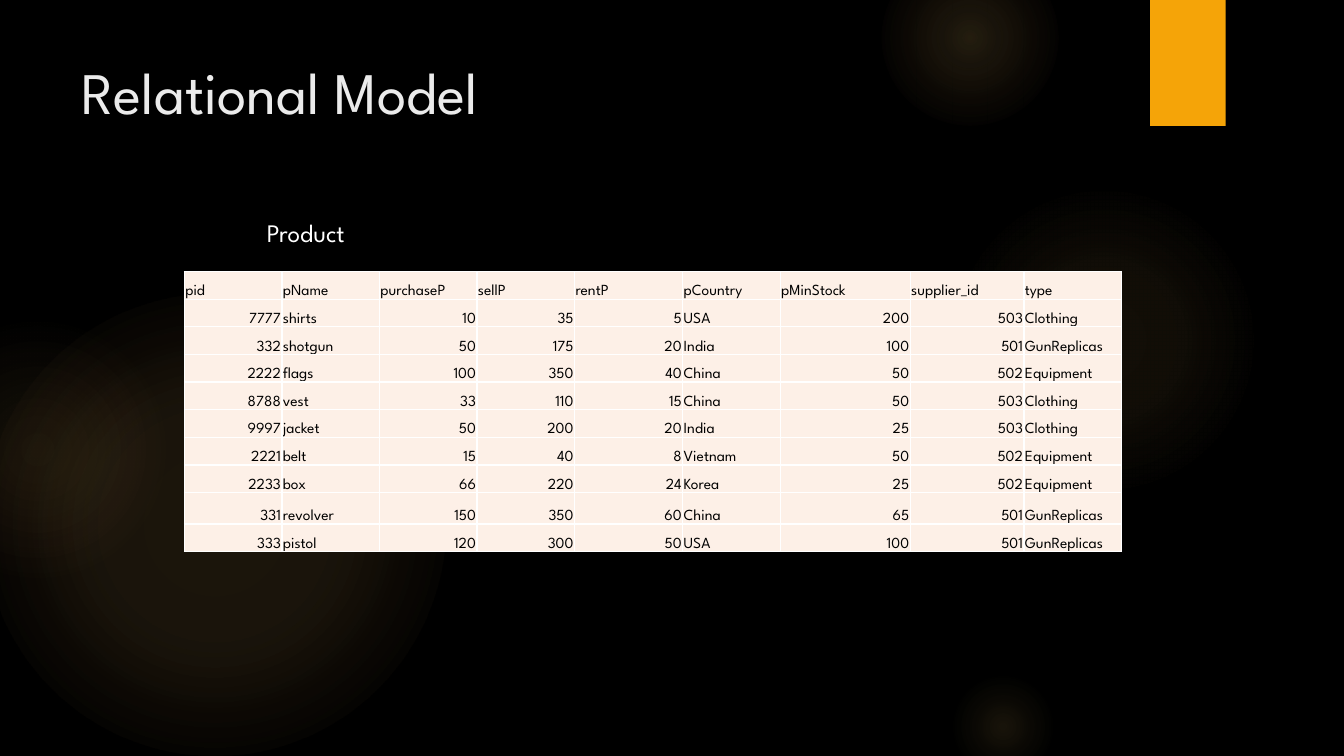
from lxml.etree import SubElement
from pptx import Presentation
from pptx.dml.color import RGBColor
from pptx.enum.shapes import MSO_SHAPE
from pptx.enum.text import MSO_ANCHOR, PP_ALIGN
from pptx.oxml import parse_xml
from pptx.oxml.ns import nsdecls, qn
from pptx.util import Pt

FONT = "League Spartan"
BLACK = RGBColor(0x00, 0x00, 0x00)
WHITE = RGBColor(0xFF, 0xFF, 0xFF)
TITLE_GREY = RGBColor(0xEB, 0xEB, 0xEB)
ORANGE = RGBColor(0xF5, 0xA4, 0x08)
GLOW = RGBColor(0xFA, 0xC9, 0x6A)
GLOW_EDGE = RGBColor(0xF5, 0x9B, 0x74)
CREAM = RGBColor(0xFD, 0xF0, 0xE7)

GLOWS = [
    (-12, 210, 330, [(0, GLOW, 11), (36, GLOW, 10), (75, GLOW, 0)]),
    (-66, 228, 186, [(0, GLOW, 8), (36, GLOW, 5), (71, GLOW_EDGE, 0)]),
    (677.5, 132, 222, [(0, GLOW, 7), (36, GLOW, 6), (69, GLOW, 0)]),
    (630, -36, 126, [(0, GLOW, 14), (36, GLOW, 7), (73, GLOW, 0)]),
    (677.5, 480, 78, [(0, GLOW, 10), (31, GLOW, 5), (66, GLOW, 0)]),
]
COLUMN_WIDTHS = [69.7, 69.7, 69.7, 69.7, 77.3, 69.7, 92.8, 81.3, 69.7]
ROW_HEIGHT, TALL_ROW_HEIGHT = 19.75, 22.4
TALL_ROW_PID = "331"
PRODUCTS = [
    ["pid", "pName", "purchaseP", "sellP", "rentP", "pCountry",
     "pMinStock", "supplier_id", "type"],
    ["7777", "shirts", "10", "35", "5", "USA", "200", "503", "Clothing"],
    ["332", "shotgun", "50", "175", "20", "India", "100", "501", "GunReplicas"],
    ["2222", "flags", "100", "350", "40", "China", "50", "502", "Equipment"],
    ["8788", "vest", "33", "110", "15", "China", "50", "503", "Clothing"],
    ["9997", "jacket", "50", "200", "20", "India", "25", "503", "Clothing"],
    ["2221", "belt", "15", "40", "8", "Vietnam", "50", "502", "Equipment"],
    ["2233", "box", "66", "220", "24", "Korea", "25", "502", "Equipment"],
    ["331", "revolver", "150", "350", "60", "China", "65", "501", "GunReplicas"],
    ["333", "pistol", "120", "300", "50", "USA", "100", "501", "GunReplicas"],
]


def write(tf, text, size=11, color=BLACK, align=PP_ALIGN.LEFT):
    p = tf.paragraphs[0]
    p.alignment = align
    r = p.add_run()
    r.text = text
    r.font.name = FONT
    r.font.size = Pt(size)
    r.font.color.rgb = color
    r.font.bold = False


def add_plain(s, kind, box):
    sp = s.shapes.add_shape(kind, *map(Pt, box))
    sp.shadow.inherit = False
    sp.line.fill.background()
    return sp


def add_glow(s, box, stops):
    sp = add_plain(s, MSO_SHAPE.OVAL, box)
    gs = "".join(
        f'<a:gs pos="{pos * 1000}"><a:srgbClr val="{color}">'
        f'<a:alpha val="{alpha * 1000}"/></a:srgbClr></a:gs>'
        for pos, color, alpha in stops)
    fill = parse_xml(
        f'<a:gradFill {nsdecls("a")} rotWithShape="1"><a:gsLst>{gs}</a:gsLst>'
        '<a:path path="circle"><a:fillToRect l="50000" t="50000" r="50000" '
        'b="50000"/></a:path></a:gradFill>')
    sp._element.spPr.find(qn("a:prstGeom")).addnext(fill)


def add_tab(s, box):
    sp = add_plain(s, MSO_SHAPE.RECTANGLE, box)
    sp.fill.solid()
    sp.fill.fore_color.rgb = ORANGE
    sp._element.spPr.find(qn("a:effectLst")).append(parse_xml(
        f'<a:outerShdw {nsdecls("a")} blurRad="{Pt(3)}" dist="{Pt(2)}" '
        'dir="5400000" rotWithShape="0"><a:srgbClr val="000000">'
        '<a:alpha val="45000"/></a:srgbClr></a:outerShdw>'))


def add_backdrop(s):
    s.background.fill.solid()
    s.background.fill.fore_color.rgb = BLACK
    for x, y, size, stops in GLOWS:
        add_glow(s, (x, y, size, size), stops)
    add_tab(s, (821.5, 0, 54, 90))


def place_title(s, box, text):
    title = s.shapes.title
    title.left, title.top, title.width, title.height = map(Pt, box)
    title.text_frame.vertical_anchor = MSO_ANCHOR.TOP
    write(title.text_frame, text, size=42, color=TITLE_GREY)
    s.shapes._spTree.append(title._element)


def add_label(s, box, text):
    tf = s.shapes.add_textbox(*map(Pt, box)).text_frame
    tf.word_wrap = True
    write(tf, text, size=18, color=WHITE)


def set_borders(cell):
    tcPr = cell._tc.get_or_add_tcPr()
    for i, side in enumerate(("lnL", "lnR", "lnT", "lnB")):
        tcPr.insert(i, parse_xml(
            f'<a:{side} {nsdecls("a")} w="{Pt(1)}"><a:solidFill>'
            f'<a:srgbClr val="{WHITE}"/></a:solidFill></a:{side}>'))


def fill_cell(cell, text):
    cell.margin_left = cell.margin_right = cell.margin_top = Pt(0.7)
    cell.margin_bottom = Pt(0)
    cell.vertical_anchor = MSO_ANCHOR.BOTTOM
    cell.fill.solid()
    cell.fill.fore_color.rgb = CREAM
    set_borders(cell)
    align = PP_ALIGN.RIGHT if text.isdigit() else PP_ALIGN.LEFT
    write(cell.text_frame, text, align=align)


def add_product_table(s, box):
    table = s.shapes.add_table(
        len(PRODUCTS), len(COLUMN_WIDTHS), *map(Pt, box)).table
    table.first_row = table.horz_banding = False
    for column, width in zip(table.columns, COLUMN_WIDTHS):
        column.width = Pt(width)
    for row, product in zip(table.rows, PRODUCTS):
        tall = product[0] == TALL_ROW_PID
        row.height = Pt(TALL_ROW_HEIGHT if tall else ROW_HEIGHT)
        for cell, text in zip(row.cells, product):
            fill_cell(cell, text)


def build_slide(prs):
    s = prs.slides.add_slide(prs.slide_layouts[5])
    add_backdrop(s)
    place_title(s, (51, 36, 741, 110), "Relational Model")
    add_product_table(s, (131.7, 194, 669.6, 200.15))
    add_label(s, (183.5, 152, 332.5, 29), "Product")


prs = Presentation()
prs.slide_width, prs.slide_height = Pt(960), Pt(540)
build_slide(prs)
prs.save("out.pptx")
